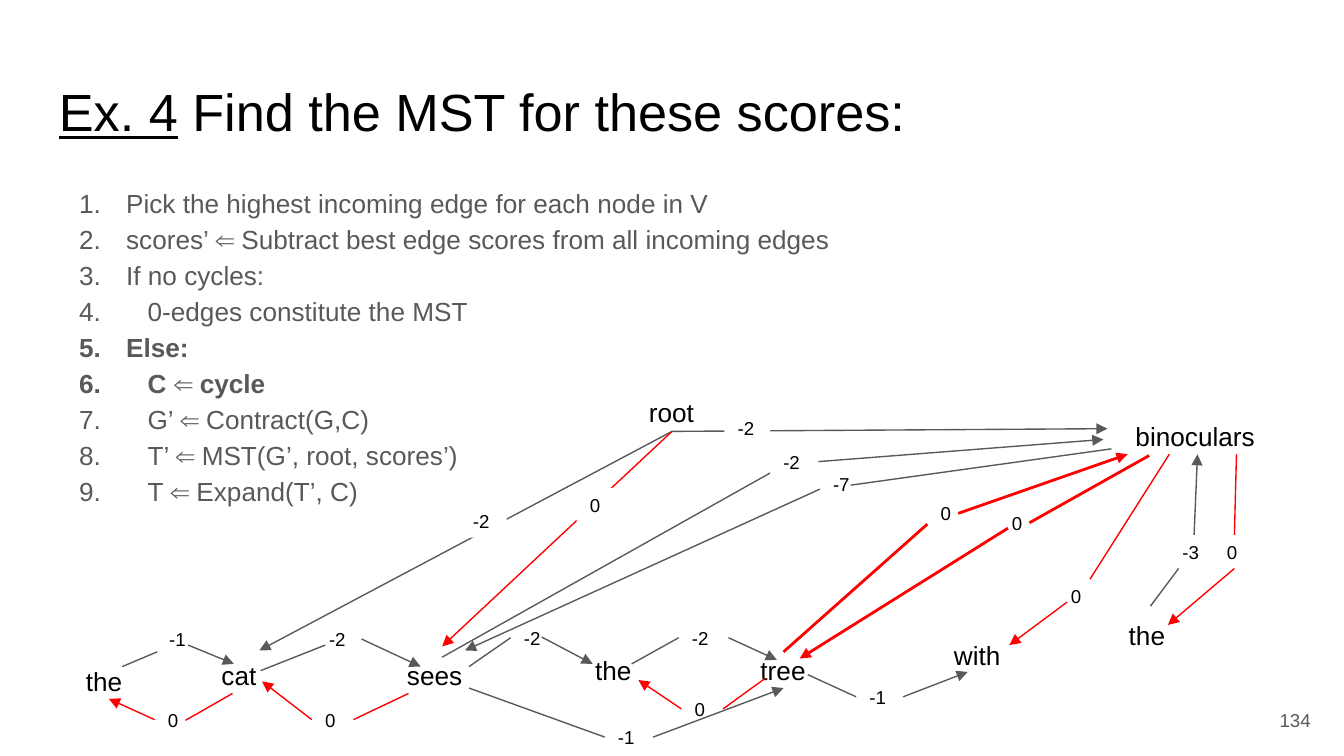
from lxml import etree
from pptx import Presentation
from pptx import util as u
from pptx.dml.color import RGBColor
from pptx.enum import shapes, text
from pptx.oxml import ns

SCALE = 9144  # EMU per px, 100 px to the inch
BLACK = RGBColor(0x00, 0x00, 0x00)
GREY = RGBColor(0x59, 0x59, 0x59)
RED = RGBColor(0xFF, 0x00, 0x00)
WHITE = RGBColor(0xFF, 0xFF, 0xFF)

TITLE = {"name": "Arial", "size": u.Pt(28)}
BODY = {"name": "Arial", "size": u.Pt(14)}
SMALL = {"name": "Arial", "size": u.Pt(10)}
LABEL_HEIGHT = 25
TOP, LEFT, BOTTOM, RIGHT = range(4)  # connection sites of a rectangle

# Wording and indent depth of each step
STEPS = [
    ("Pick the highest incoming edge for each node in V", 0),
    ("scores’ ⇐ Subtract best edge scores from all incoming edges", 0),
    ("If no cycles:", 0),
    ("0-edges constitute the MST", 1),
    ("Else:", 0),
    ("C ⇐ cycle", 1),
    ("G’ ⇐ Contract(G,C)", 1),
    ("T’ ⇐ MST(G’, root, scores’)", 1),
    ("T ⇐ Expand(T’, C)", 1),
]
CURRENT_STEPS = ("Else:", "C ⇐ cycle")

# Word, left, top, width
NODES = [
    ("root", 423, 5, 55), ("the", 4, 205, 53), ("cat", 105, 201, 53),
    ("sees", 243, 201, 73), ("the", 383, 197, 53), ("tree", 506, 197, 55),
    ("with", 650, 186, 76), ("the", 780, 171, 53), ("binoculars", 785, 23, 112),
]

# Edges from root run unbroken behind their score:
# score, label (left, top, width), start, end, colour
ROOT_EDGES = [
    ("-2", (292, 95, 35), (450, 41), (143, 204), GREY),
    ("0", (379, 83, 43), (450, 41), (279, 201), RED),
    ("-2", (489, 26, 34), (450, 41), (774, 39), GREY),
]

# Other edges stop at their score and go on behind it; a stop is a point
# or a side of the label:
# score, label, start, stop, go on, end, colour, line width
EDGES = [
    ("-1", (66, 183, 34), (41, 216), (67, 205), (90, 200), (124, 214), GREY, 0.75),
    ("0", (65, 243, 31), (123, 236), (88, 256), LEFT, (31, 240), RED, 0.75),
    ("-2", (185, 183, 34), (144, 219), (192, 200), RIGHT, (263, 216), GREY, 0.75),
    ("0", (182, 243, 31), (254, 236), RIGHT, LEFT, (145, 227), RED, 0.75),
    ("-2", (330, 182, 35), (299, 216), LEFT, (353, 194), (391, 214), GREY, 0.75),
    ("-2", (455, 182, 37), (420, 214), LEFT, RIGHT, (528, 211), GREY, 0.75),
    ("0", (457, 235, 31), (519, 225), RIGHT, LEFT, (425, 226), RED, 0.75),
    ("-1", (587, 226, 35), (551, 222), LEFT, RIGHT, (670, 220), GREY, 0.75),
    ("-1", (400, 256, 36), (299, 232), LEFT, RIGHT, (533, 232), GREY, 0.75),
    ("-2", (523, 51, 36), (279, 209), (523, 72), RIGHT, (771, 47), GREY, 0.75),
    ("-7", (560, 68, 34), (777, 54), (583, 81), (560, 84), (296, 204), GREY, 0.75),
    ("0", (640, 89, 31), (533, 205), (640, 110), (663, 102), (789, 58), RED, 1.5),
    ("0", (693, 97, 31), (805, 59), (716, 109), (700, 113), (545, 210), RED, 1.5),
    ("0", (737, 151, 31), (820, 58), (761, 151), (744, 168), (701, 200), RED, 0.75),
    ("-3", (820, 118, 37), (806, 171), (827, 143), TOP, (841, 58), GREY, 0.75),
    ("0", (853, 118, 31), (870, 58), TOP, BOTTOM, (819, 185), RED, 0.75),
]


def px(*lengths):
    return [u.Emu(length * SCALE) for length in lengths]


def add_span(para, words, style, colour, **extra):
    span = para.add_run()
    span.text = words
    for key, value in {**style, **extra}.items():
        setattr(span.font, key, value)
    span.font.color.rgb = colour


def prepare_frame(shape, anchor):
    frame = shape.text_frame
    margins = {f"margin_{side}": px(10)[0] for side in ("left", "top", "right", "bottom")}
    for key, value in {"word_wrap": True, "vertical_anchor": anchor, **margins}.items():
        setattr(frame, key, value)
    return frame


def add_text_box(page, box, anchor=text.MSO_ANCHOR.TOP):
    return prepare_frame(page.shapes.add_textbox(*px(*box)), anchor)


def add_title(page, box):
    para = add_text_box(page, box).paragraphs[0]
    add_span(para, "Ex. 4", TITLE, BLACK, underline=True)
    add_span(para, " Find the MST for these scores:", TITLE, BLACK)


def add_steps(page, box):
    frame = add_text_box(page, box)
    for index, (words, depth) in enumerate(STEPS):
        para = frame.add_paragraph() if index else frame.paragraphs[0]
        para.line_spacing = 1.15
        add_span(para, words, BODY, GREY, bold=words in CURRENT_STEPS)
        # Numbers line up; only the wording moves in
        props = para._p.get_or_add_pPr()
        margin, number_at = px(50 + 16 * depth, 15)
        props.set("marL", str(margin))
        props.set("indent", str(number_at - margin))
        bullet_colour = etree.SubElement(props, ns.qn("a:buClr"))
        etree.SubElement(bullet_colour, ns.qn("a:srgbClr"), val=str(GREY))
        etree.SubElement(props, ns.qn("a:buFont"), typeface="Arial")
        etree.SubElement(props, ns.qn("a:buAutoNum"), type="arabicPeriod")


def add_page_number(page, box):
    para = add_text_box(page, box, text.MSO_ANCHOR.MIDDLE).paragraphs[0]
    para.alignment = text.PP_ALIGN.RIGHT
    add_span(para, "134", SMALL, GREY)


def add_score(page, score, box):
    label = page.shapes.add_shape(shapes.MSO_SHAPE.RECTANGLE, *px(*box))
    label.shadow.inherit = False
    label.fill.solid()
    label.fill.fore_color.rgb = WHITE
    label.line.fill.background()
    para = prepare_frame(label, text.MSO_ANCHOR.MIDDLE).paragraphs[0]
    para.alignment = text.PP_ALIGN.LEFT
    add_span(para, score, SMALL, BLACK)
    return label


def add_line(page, start, end, colour, width, arrow=False):
    line = page.shapes.add_connector(shapes.MSO_CONNECTOR.STRAIGHT, *px(*start, *end))
    line.line.color.rgb = colour
    line.line.width = u.Pt(width)
    if arrow:
        etree.SubElement(line.line._get_or_add_ln(), ns.qn("a:tailEnd"), type="triangle")
    etree.SubElement(line._element.spPr, ns.qn("a:effectLst"))
    return line


def add_graph(page, box):
    left, top = box[:2]

    def place(x, y, *size):
        return (left + x, top + y, *size)

    # Words
    for word, x, y, width in NODES:
        para = add_text_box(page, place(x, y, width, 35)).paragraphs[0]
        add_span(para, word, BODY, BLACK)

    # Edges from root, then every score
    for score, label, start, end, colour in ROOT_EDGES:
        add_line(page, place(*start), place(*end), colour, 0.75, arrow=True)
    for score, label, *rest in ROOT_EDGES:
        add_score(page, score, place(*label, LABEL_HEIGHT))
    labels = [add_score(page, edge[0], place(*edge[1], LABEL_HEIGHT)) for edge in EDGES]

    # Edges that break at their score
    for label, (*_, start, stop, go_on, end, colour, width) in zip(labels, EDGES):
        stop_side, go_on_side = (isinstance(point, int) for point in (stop, go_on))
        first = add_line(page, place(*start), place(*(start if stop_side else stop)),
                         colour, width)
        if stop_side:
            first.end_connect(label, stop)
        second = add_line(page, place(*(end if go_on_side else go_on)), place(*end),
                          colour, width, arrow=True)
        if go_on_side:
            second.begin_connect(label, go_on)


def main():
    deck = Presentation()
    deck.slide_width = px(1000)[0]
    deck.slide_height = deck.slide_width * 9 // 16
    page = deck.slides.add_slide(deck.slide_layouts[6])
    add_title(page, (34, 49, 932, 62))
    add_steps(page, (34, 126, 932, 89))
    add_page_number(page, (925, 514, 60, 43))
    add_graph(page, (50, 280, 900, 282))
    deck.save("out.pptx")


if __name__ == "__main__":
    main()
